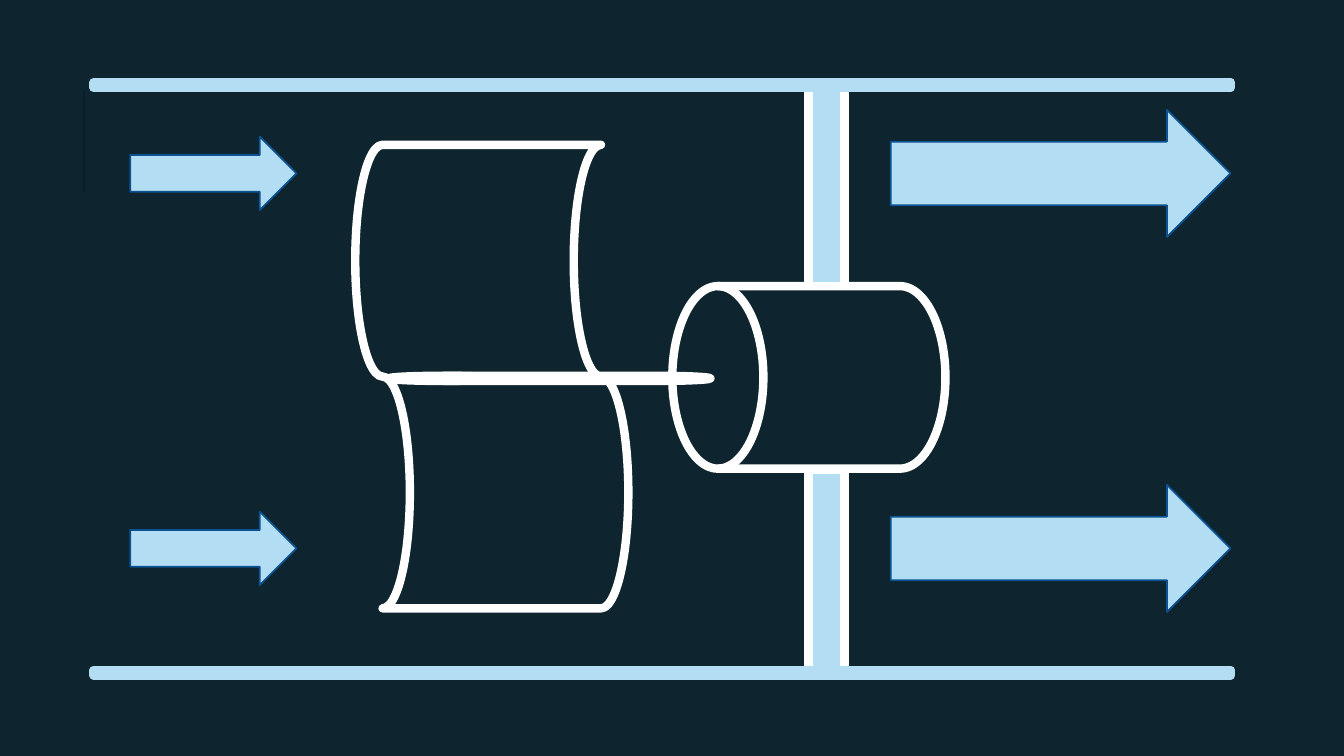
from lxml.etree import SubElement
from pptx import Presentation
from pptx.dml.color import RGBColor
from pptx.enum.shapes import MSO_CONNECTOR, MSO_SHAPE
from pptx.oxml.ns import qn
from pptx.util import Cm, Pt

THEME = {
    "backdrop": "071D28", "pale": "B3DDF2", "shaft": "114864",
    "white": "FFFFFF", "edge": "0B5292", "guide": "009DD9",
    "bold": 6, "thin": 1.25, "guide_width": 1.5, "backdrop_alpha": 97,
}

SLIDE = (33.86, 19.05)
GUIDE = (2.11, 4.83, 2.11, 2.29)
BACKDROP = (-0.08, 0, 33.94, 19.05)
MOTOR = (16.94, 7.21, 6.88, 4.6)
BLADES = (6.55, 6.05, 11.68, 6.88)
SHAFT = (9.8, 9.47, 8.1, 0.13)
STRUT = {"left": 20.37, "width": 0.91, "height": 5.05, "tops": (2.16, 11.84)}
WALL = {"left": 2.36, "width": 28.65, "height": 0.13, "tops": (2.08, 16.89)}
FLOW_ROWS = (4.37, 13.82)
FLOW_ARROWS = [(3.28, 4.19, 1.85), (22.44, 8.56, 3.2)]


def color(name):
    return RGBColor.from_string(THEME[name])


def add_part(s, kind, box, fill=None, line=None, weight="bold", flip=False):
    sp = s.shapes.add_shape(kind, *map(Cm, box))
    sp.shadow.inherit = False
    if fill:
        sp.fill.solid()
        sp.fill.fore_color.rgb = color(fill)
    else:
        sp.fill.background()
    if line:
        sp.line.color.rgb = color(line)
        sp.line.width = Pt(THEME[weight])
    else:
        sp.line.fill.background()
    if flip:
        sp.element.spPr.find(qn("a:xfrm")).set("flipH", "1")
    return sp


def add_guide(s):
    cn = s.shapes.add_connector(MSO_CONNECTOR.STRAIGHT, *map(Cm, GUIDE))
    cn.line.color.rgb = color("guide")
    cn.line.width = Pt(THEME["guide_width"])
    SubElement(cn.element.spPr, qn("a:effectLst"))


def add_backdrop(s):
    sp = add_part(s, MSO_SHAPE.RECTANGLE, BACKDROP, "backdrop")
    rgb = sp.element.spPr.find(qn("a:solidFill")).find(qn("a:srgbClr"))
    SubElement(rgb, qn("a:alpha"), val=str(THEME["backdrop_alpha"] * 1000))


def add_turbine(s):
    drum = MSO_SHAPE.FLOWCHART_DIRECT_ACCESS_STORAGE
    add_part(s, drum, MOTOR, line="white", flip=True)
    blades = add_part(s, MSO_SHAPE.FLOWCHART_PUNCHED_TAPE, BLADES, line="white")
    blades.rotation = 90
    add_part(s, drum, SHAFT, "shaft", "white", flip=True)


def add_duct(s):
    for bar, line in ((STRUT, "white"), (WALL, "pale")):
        for top in bar["tops"]:
            box = (bar["left"], top, bar["width"], bar["height"])
            add_part(s, MSO_SHAPE.RECTANGLE, box, "pale", line)


def add_flow(s):
    for left, width, height in FLOW_ARROWS:
        for middle in FLOW_ROWS:
            box = (left, middle - height / 2, width, height)
            add_part(s, MSO_SHAPE.RIGHT_ARROW, box, "pale", "edge", "thin")


def main():
    prs = Presentation()
    prs.slide_width, prs.slide_height = map(Cm, SLIDE)
    s = prs.slides.add_slide(prs.slide_layouts[6])
    add_guide(s)
    add_backdrop(s)
    add_turbine(s)
    add_duct(s)
    add_flow(s)
    prs.save("out.pptx")


if __name__ == "__main__":
    main()
